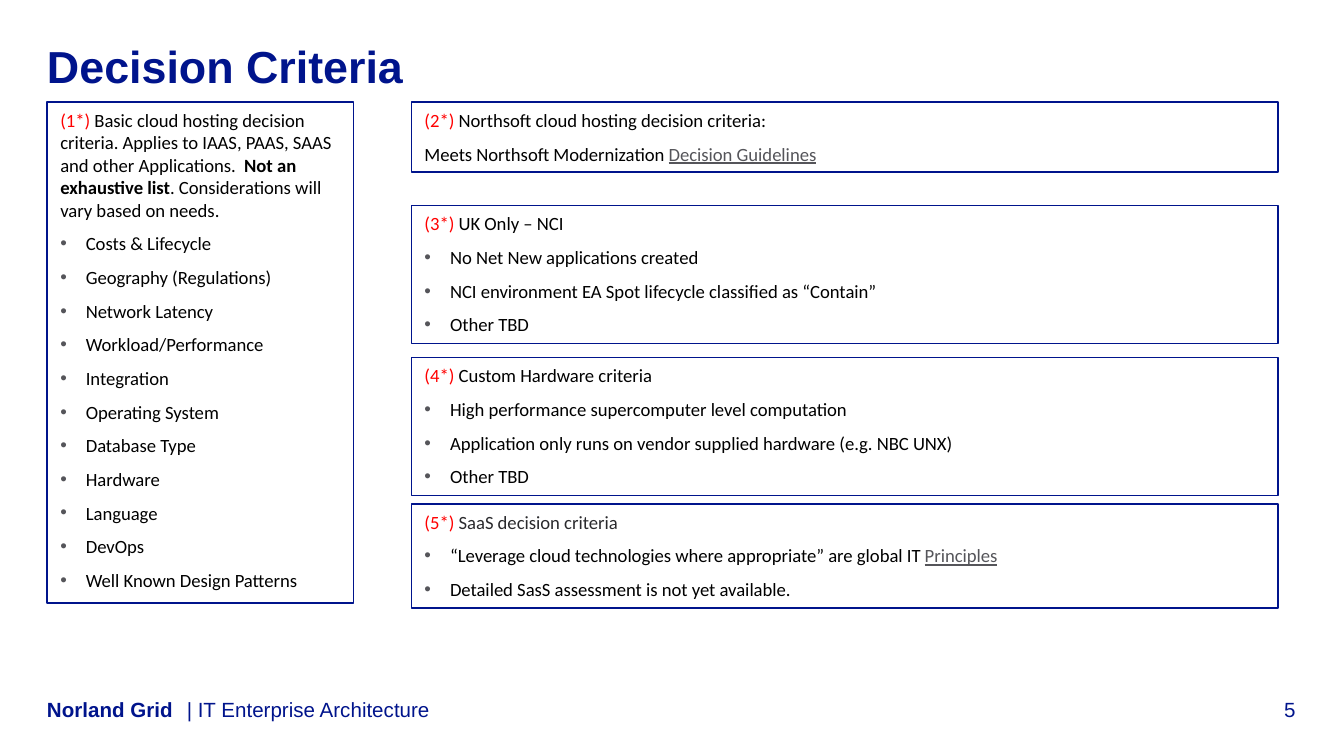
import pptx
import pptx.util
import pptx.dml.color
import pptx.enum.shapes
import pptx.enum.text
import pptx.oxml
import pptx.oxml.ns

WIDTH = 10
HEIGHT = WIDTH * 9 / 16
NAVY, RED, BLACK, GREY, DARK = "00148C", "FF0000", "000000", "55555A", "2A2A2D"
MARGIN, TOP = 0.35, 0.76
LEFT_COLUMN, RIGHT_COLUMN = (MARGIN, 2.28), (3.06, 6.45)
FOOTER_TOP, FOOTER_HEIGHT = 5.18, 0.19
LINE_POINTS, GAP_POINTS, INSET, INDENT = 12.2, 6, 0.05, 0.19

ALIGN = pptx.enum.text.PP_ALIGN
ANCHOR = pptx.enum.text.MSO_ANCHOR
HEADING = {"size": 24, "bold": True}
FOOTER = {"size": 11}
BODY = {"size": 10, "name": "Calibri"}
LINK = {"color": GREY, "underline": True}

LABELS = [
    ("Decision Criteria", (MARGIN, 0.29, 9.16, 0.47), HEADING, ANCHOR.TOP, ALIGN.LEFT),
    ("Norland Grid", (MARGIN, FOOTER_TOP, 1, FOOTER_HEIGHT), {**FOOTER, "bold": True}, ANCHOR.BOTTOM, ALIGN.LEFT),
    ("| IT Enterprise Architecture", (1.39, FOOTER_TOP, 7.83, FOOTER_HEIGHT), FOOTER, ANCHOR.BOTTOM, ALIGN.LEFT),
    ("5", (9.06, FOOTER_TOP, 0.58, FOOTER_HEIGHT), FOOTER, ANCHOR.BOTTOM, ALIGN.RIGHT),
]

CRITERIA = [
    {
        "column": LEFT_COLUMN, "top": TOP, "intro_lines": 5,
        "intro": [[
            ("(1*)", {"color": RED}),
            (" Basic cloud hosting decision criteria. Applies to IAAS, PAAS, SAAS and other Applications.  ", {}),
            ("Not an exhaustive list", {"bold": True}),
            (". Considerations will vary based on needs.", {}),
        ]],
        "bullets": [[(item, {})] for item in (
            "Costs & Lifecycle", "Geography (Regulations)", "Network Latency",
            "Workload/Performance", "Integration", "Operating System", "Database Type",
            "Hardware", "Language", "DevOps", "Well Known Design Patterns")],
    },
    {
        "column": RIGHT_COLUMN, "top": TOP, "intro_lines": 2,
        "intro": [
            [("(2*)", {"color": RED}), (" Northsoft cloud hosting decision criteria:", {})],
            [("Meets Northsoft Modernization ", {}), ("Decision Guidelines", LINK)],
        ],
        "bullets": [],
    },
    {
        "column": RIGHT_COLUMN, "top": 1.53, "intro_lines": 1,
        "intro": [[("(3*)", {"color": RED}), (" UK Only – NCI", {})]],
        "bullets": [[(item, {})] for item in (
            "No Net New applications created",
            "NCI environment EA Spot lifecycle classified as “Contain”",
            "Other TBD")],
    },
    {
        "column": RIGHT_COLUMN, "top": 2.66, "intro_lines": 1,
        "intro": [[("(4*)", {"color": RED}), (" Custom Hardware criteria", {})]],
        "bullets": [[(item, {})] for item in (
            "High performance supercomputer level computation",
            "Application only runs on vendor supplied hardware (e.g. NBC UNX)",
            "Other TBD")],
    },
    {
        "column": RIGHT_COLUMN, "top": 3.75, "intro_lines": 1,
        "intro": [[("(5*) ", {"color": RED}), ("SaaS decision criteria", {"color": DARK})]],
        "bullets": [
            [("“Leverage cloud technologies where appropriate” are global IT ", {}), ("Principles", LINK)],
            [("Detailed SasS assessment is not yet available.", {})],
        ],
    },
]


def rgb(value):
    """Turn a hex string into a colour."""
    return pptx.dml.color.RGBColor.from_string(value)


def inches(*values):
    """Turn numbers of inches into lengths."""
    return [pptx.util.Inches(value) for value in values]


def add_span(para, text, look):
    """Add one run of text with the given format values."""
    span = para.add_run()
    span.text = text
    for key, value in look.items():
        if key == "color":
            span.font.color.rgb = rgb(value)
        else:
            setattr(span.font, key, pptx.util.Pt(value) if key == "size" else value)


def add_bullet(para):
    """Give a paragraph a hanging grey bullet."""
    properties = para._p.get_or_add_pPr()
    indent = pptx.util.Inches(INDENT)
    properties.set("marL", str(indent))
    properties.set("indent", str(-indent))
    namespace = pptx.oxml.ns.nsdecls("a")
    for xml in (
        f'<a:buClr {namespace}><a:srgbClr val="{GREY}"/></a:buClr>',
        f'<a:buFont {namespace} typeface="Arial"/>',
        f'<a:buChar {namespace} char="•"/>',
    ):
        properties.append(pptx.oxml.parse_xml(xml))


def add_label(page, text, place, look, anchor, align):
    """Add a one-line text box without insets."""
    frame = page.shapes.add_textbox(*inches(*place)).text_frame
    settings = {"word_wrap": True, "vertical_anchor": anchor, "margin_left": 0,
                "margin_right": 0, "margin_top": 0, "margin_bottom": 0}
    for key, value in settings.items():
        setattr(frame, key, value)
    para = frame.paragraphs[0]
    para.alignment = align
    add_span(para, text, {"name": "Arial", "color": NAVY, **look})


def add_criteria(page, column, top, intro_lines, intro, bullets):
    """Add an outlined box as tall as its lines of text."""
    left, width = column
    rows = intro + bullets
    lines = intro_lines + len(bullets)
    height = 2 * INSET + (lines * LINE_POINTS + (len(rows) - 1) * GAP_POINTS) / 72
    box = page.shapes.add_shape(
        pptx.enum.shapes.MSO_SHAPE.RECTANGLE, *inches(left, top, width, height))
    box.shadow.inherit = False
    box.fill.background()
    box.line.color.rgb = rgb(NAVY)
    box.line.width = pptx.util.Pt(0.75)
    frame = box.text_frame
    frame.word_wrap = True
    frame.auto_size = pptx.enum.text.MSO_AUTO_SIZE.SHAPE_TO_FIT_TEXT
    frame.vertical_anchor = ANCHOR.TOP
    for index, spans in enumerate(rows):
        para = frame.add_paragraph() if index else frame.paragraphs[0]
        para.alignment = ALIGN.LEFT
        para.space_after = pptx.util.Pt(GAP_POINTS)
        if index >= len(intro):
            add_bullet(para)
        for text, look in spans:
            add_span(para, text, {**BODY, "color": BLACK, **look})


def main():
    """Build the slide and save it."""
    deck = pptx.Presentation()
    deck.slide_width, deck.slide_height = inches(WIDTH, HEIGHT)
    page = deck.slides.add_slide(deck.slide_layouts[6])
    for label in LABELS:
        add_label(page, *label)
    for criteria in CRITERIA:
        add_criteria(page, **criteria)
    deck.save("out.pptx")


if __name__ == "__main__":
    main()
